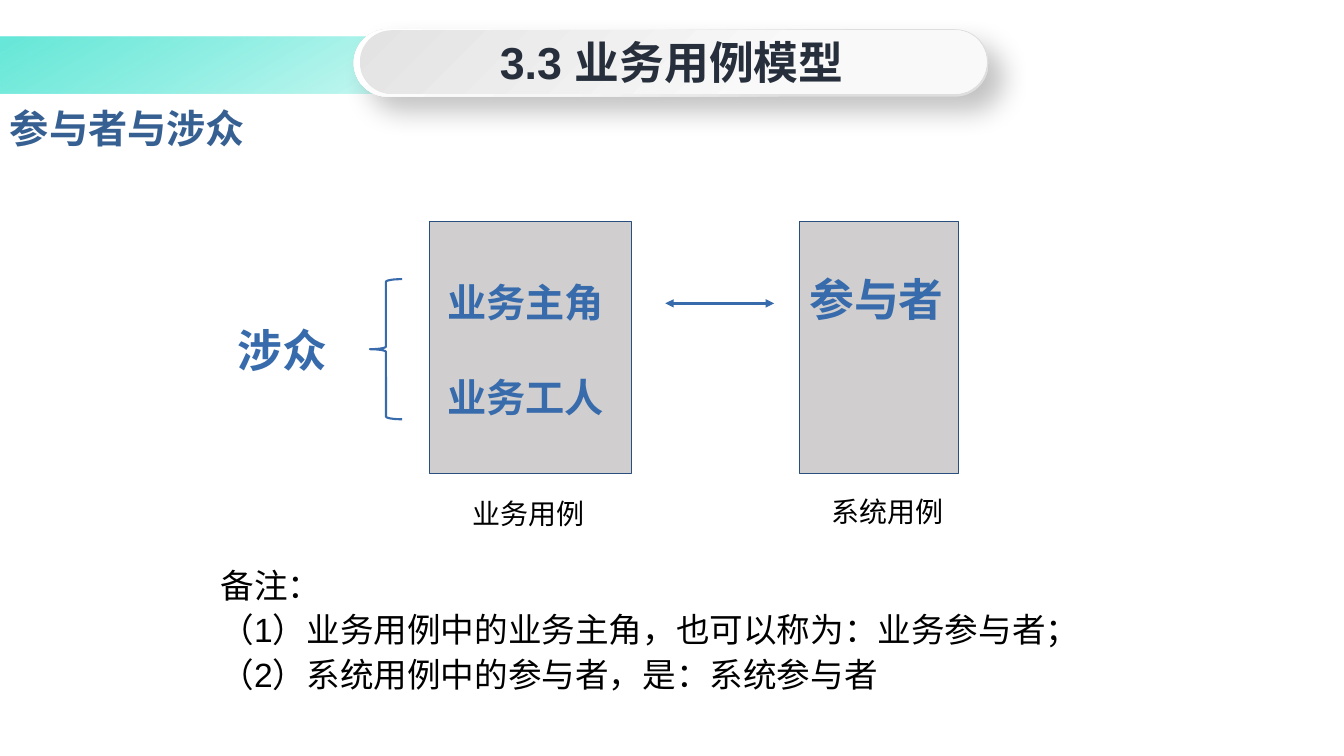
import pptx
import pptx.dml.color
import pptx.enum.shapes
import pptx.enum.text
import pptx.oxml
import pptx.oxml.ns
import pptx.util

Pt = pptx.util.Pt
SHAPE = pptx.enum.shapes.MSO_SHAPE
ALIGN = pptx.enum.text.PP_ALIGN
ANCHOR = pptx.enum.text.MSO_ANCHOR

FONT = "Arial"
BLUE, BLACK = "376BAB", "000000"
PANEL_FILL, PANEL_LINE = "D0CECE", "294F7F"

TITLE = "3.3 业务用例模型"
TITLE_AREA = (274.3, 20.9, 411.1, 46.1)

# Gradient stops: position %, colour, opacity %
BAND = ((-0.7, 25.9, 948.2, 41), [(1, "4EE4D2", 85), (50, "20E2CB", 0)], 60)
PILL_RIM = ((252.7, 20.9, 453.6, 48.2),
            [(1, "DEDEDE", 100), (30, "E0E0E0", 100), (61, "F6F6F6", 100), (100, "FFFFFF", 100)], 225)
PILL_FACE = ((257, 21.6, 447.8, 45.4), [(0, "E3E3E3", 100), (67, "F9F9F9", 100)], 45)

PANEL_TOP, PANEL_HEIGHT = 158.4, 180
PANELS = [(306.7, 144), (571, 113.8)]  # left, width

# Area, lines, size, colour, bold, alignment, space before later lines, their line spacing
TEXTS = [
    ((0, 67, 963.4, 48.2), ["参与者与涉众"], 28, "376092", True, ALIGN.LEFT, 0, 1),
    ((330.5, 350.6, 102.2, 31.7), ["业务用例"], 20, BLACK, False, ALIGN.LEFT, 0, 1),
    ((571, 349.2, 126, 31.7), ["系统用例"], 20, BLACK, False, ALIGN.CENTER, 0, 1),
    ((162.7, 226.8, 95.8, 46.1), ["涉众"], 32, BLUE, True, ALIGN.LEFT, 0, 1),
    ((312.5, 195.1, 138.2, 108.7), ["业务主角", "业务工人"], 28, BLUE, True, ALIGN.LEFT, 34, 1),
    ((571, 190.1, 137.5, 46.1), ["参与者"], 32, BLUE, True, ALIGN.LEFT, 0, 1),
    ((150.5, 399.6, 651.6, 100.1),
     ["备注：", "（1）业务用例中的业务主角，也可以称为：业务参与者；", "（2）系统用例中的参与者，是：系统参与者"],
     24, BLACK, False, ALIGN.LEFT, 0, 1.1),
]
BRACE = (264.2, 199.4, 23, 100.1)
ARROW = (475.2, 216.7, 553, 216.7)


def rgb(value):
    return pptx.dml.color.RGBColor.from_string(value)


def points(values):
    return [Pt(value) for value in values]


def add_xml(parent, xml):
    """Append an element written in the DrawingML namespace."""
    declared = xml.replace(" ", " " + pptx.oxml.ns.nsdecls("a") + " ", 1)
    parent.append(pptx.oxml.parse_xml(declared))


def add_plain_shape(page, kind, area):
    shape = page.shapes.add_shape(kind, *points(area))
    shape.shadow.inherit = False
    shape.fill.background()
    shape.line.fill.background()
    return shape


def add_gradient_shape(page, kind, area, stops, angle):
    shape = add_plain_shape(page, kind, area)
    stop_xml = "".join(
        f'<a:gs pos="{place * 1000}"><a:srgbClr val="{color}">'
        f'<a:alpha val="{opacity * 1000}"/></a:srgbClr></a:gs>'
        for place, color, opacity in stops)
    properties = shape.element.spPr
    add_xml(properties, f'<a:gradFill rotWithShape="1"><a:gsLst>{stop_xml}</a:gsLst>'
                        f'<a:lin ang="{angle * 60000}" scaled="0"/></a:gradFill>')
    gradient = properties[-1]
    properties.replace(properties.find(pptx.oxml.ns.qn("a:noFill")), gradient)
    return shape


def write(box, lines, size, color, bold, align, gap=0, spacing=1, anchor=ANCHOR.TOP):
    frame = box.text_frame
    frame.word_wrap = True
    frame.auto_size = pptx.enum.text.MSO_AUTO_SIZE.NONE
    frame.vertical_anchor = anchor
    for index, line in enumerate(lines):
        para = frame.add_paragraph() if index else frame.paragraphs[0]
        para.alignment = align
        if index:
            para.space_before = Pt(gap)
            para.line_spacing = spacing
        span = para.add_run()
        span.text = line
        span.font.name = FONT
        span.font.size = Pt(size)
        span.font.bold = bold
        span.font.color.rgb = rgb(color)


def add_header(page):
    add_gradient_shape(page, SHAPE.RECTANGLE, *BAND)
    rim = add_gradient_shape(page, SHAPE.ROUNDED_RECTANGLE, *PILL_RIM)
    face = add_gradient_shape(page, SHAPE.ROUNDED_RECTANGLE, *PILL_FACE)
    for pill in (rim, face):
        pill.adjustments[0] = 0.5
    effects = rim.element.spPr.find(pptx.oxml.ns.qn("a:effectLst"))
    add_xml(effects, f'<a:outerShdw blurRad="{Pt(19)}" dist="{Pt(14)}" dir="{45 * 60000}" '
                     'algn="tl" rotWithShape="0"><a:srgbClr val="000000">'
                     '<a:alpha val="24000"/></a:srgbClr></a:outerShdw>')

    title = page.shapes.title
    title.left, title.top, title.width, title.height = points(TITLE_AREA)
    write(title, [TITLE], 32, "262F3B", True, ALIGN.CENTER)
    face.element.addnext(title.element)  # bring the title in front of the pill


def add_diagram(page):
    for left, width in PANELS:
        panel = add_plain_shape(page, SHAPE.RECTANGLE, (left, PANEL_TOP, width, PANEL_HEIGHT))
        panel.fill.solid()
        panel.fill.fore_color.rgb = rgb(PANEL_FILL)
        panel.line.color.rgb = rgb(PANEL_LINE)
        panel.line.width = Pt(0.5)

    brace = add_plain_shape(page, SHAPE.LEFT_BRACE, BRACE)
    brace.line.color.rgb = rgb(BLUE)
    brace.line.width = Pt(1.5)

    arrow = page.shapes.add_connector(pptx.enum.shapes.MSO_CONNECTOR.STRAIGHT, *points(ARROW))
    arrow.line.color.rgb = rgb(BLUE)
    arrow.line.width = Pt(2)
    for end in ("headEnd", "tailEnd"):
        add_xml(arrow.line._get_or_add_ln(), f'<a:{end} type="triangle"/>')
    add_xml(arrow.element.spPr, "<a:effectLst />")


def main():
    deck = pptx.Presentation()
    deck.slide_width, deck.slide_height = Pt(960), Pt(540)
    page = deck.slides.add_slide(deck.slide_layouts.get_by_name("Title Only"))
    add_header(page)
    add_diagram(page)
    for area, *style in TEXTS:
        box = page.shapes.add_textbox(*points(area))
        write(box, *style, anchor=ANCHOR.MIDDLE)
    deck.save("out.pptx")


if __name__ == "__main__":
    main()
